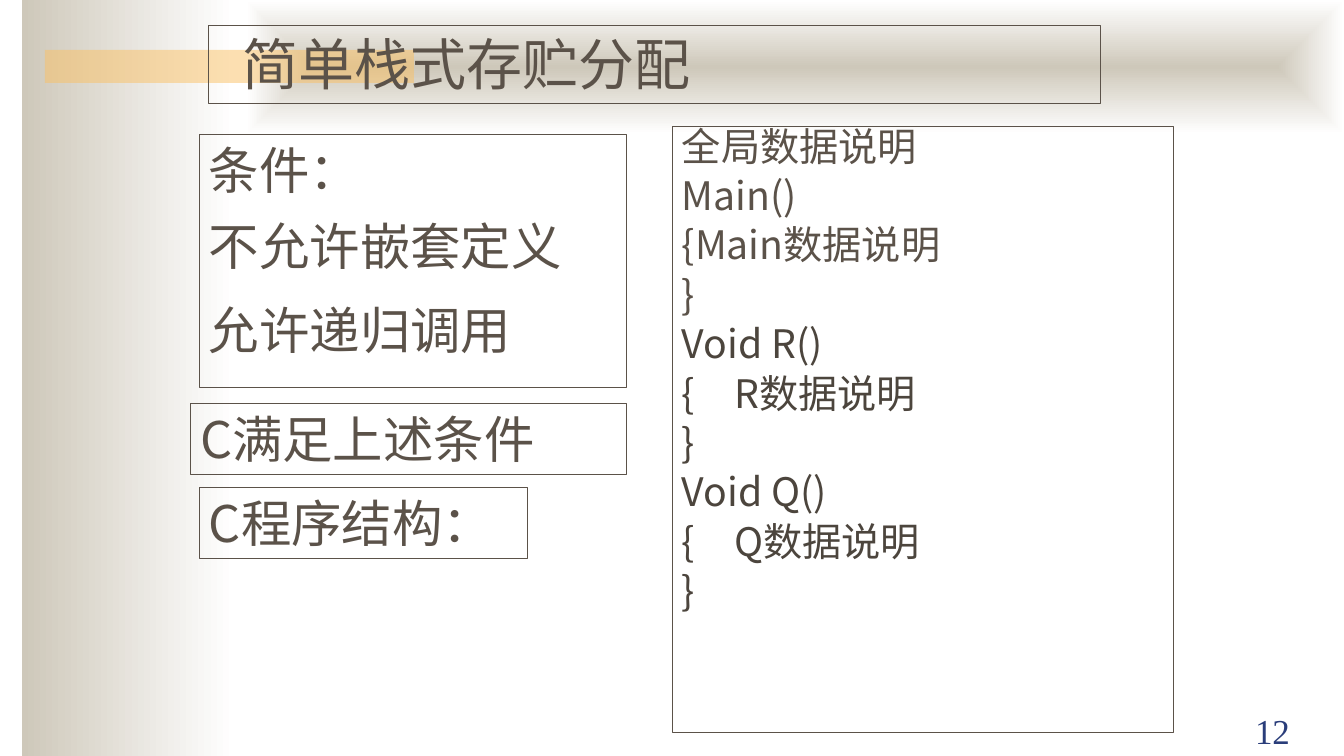
"""Builds the slide on simple stack storage allocation."""
from lxml.etree import SubElement
from pptx import Presentation
from pptx.dml.color import RGBColor
from pptx.enum.shapes import MSO_SHAPE
from pptx.enum.text import MSO_ANCHOR, MSO_AUTO_SIZE, PP_ALIGN
from pptx.oxml.ns import qn
from pptx.util import Pt

CJK, SERIF = "Noto Sans CJK JP", "Times New Roman"
BROWN, DARK, NAVY = "5B5249", "4C453D", "2A3D7A"
SAND, WHITE, GOLD = "CEC8BA", "FFFFFF", "FAC164"

HEADING = "简单栈式存贮分配"
HEADING_AREA = (208, 25, 892, 78)
SIDE_BAND = (22, 0, 213, 756)
TOP_BAND = (246, 0, 1098, 134)
GOLD_BAR = (45, 50, 369, 33)
FRAMED = [
    ("条件：", (199, 134, 427, 253)),
    ("C满足上述条件", (190, 403, 436, 71)),
    ("C程序结构：", (199, 487, 328, 71)),
]
CONDITIONS = [
    ("不允许嵌套定义", (199, 210, 427, 71)),
    ("允许递归调用", (199, 294, 427, 71)),
]
PROGRAM_AREA = (672, 126, 501, 606)
PROGRAM = [
    ("全局数据说明", BROWN),
    ("Main()", BROWN),
    ("{Main数据说明", BROWN),
    ("}", BROWN),
    ("Void R()", DARK),
    ("{　R数据说明", DARK),
    ("}", DARK),
    ("Void Q()", DARK),
    ("{　Q数据说明", DARK),
    ("}", DARK),
]
PAGE_NUMBER, PAGE_AREA = "12", (1210, 707, 134, 50)


def px(length):
    return round(length * 914400 / 100.8)


def color(value):
    return RGBColor.from_string(value)


def place(shape, area):
    shape.left, shape.top, shape.width, shape.height = map(px, area)


def rectangle(area):
    shape = slide.shapes.add_shape(MSO_SHAPE.RECTANGLE, *map(px, area))
    shape.shadow.inherit = False
    shape.line.fill.background()
    return shape


def outline(shape):
    shape.fill.background()
    shape.line.color.rgb = color(BROWN)
    shape.line.width = Pt(0.25)


def gradient_band(area):
    fill = rectangle(area).fill
    fill.gradient()
    fill.gradient_angle = 0
    for stop, shade in zip(fill.gradient_stops, (SAND, WHITE)):
        stop.color.rgb = color(shade)
    return fill


def write(shape, lines, size, face=CJK, align=PP_ALIGN.LEFT,
          anchor=MSO_ANCHOR.TOP, left=10, right=10, spacing=None, gap=0):
    frame = shape.text_frame
    frame.word_wrap = True
    frame.auto_size = MSO_AUTO_SIZE.NONE
    frame.vertical_anchor = anchor
    frame.margin_left, frame.margin_right = px(left), px(right)
    frame.margin_top = frame.margin_bottom = px(5)
    for index, (line, shade) in enumerate(lines):
        paragraph = frame.add_paragraph() if index else frame.paragraphs[0]
        paragraph.text = line
        paragraph.alignment = align
        paragraph.space_before = Pt(gap if index else 0)
        if spacing:
            paragraph.line_spacing = spacing
        font = paragraph.font
        font.size, font.name, font.bold = Pt(size), face, False
        font.color.rgb = color(shade)
        SubElement(font._element, qn("a:ea"), typeface=face)


presentation = Presentation()
presentation.slide_width, presentation.slide_height = px(1344), px(756)
slide = presentation.slides.add_slide(presentation.slide_layouts[5])

gradient_band(SIDE_BAND)
top_fill = gradient_band(TOP_BAND)._xPr.find(qn("a:gradFill"))
top_fill.remove(top_fill.find(qn("a:lin")))
center = SubElement(top_fill, qn("a:path"), path="shape")
SubElement(center, qn("a:fillToRect"), l="50000", t="50000", r="50000", b="50000")

gold_fill = rectangle(GOLD_BAR).fill
gold_fill.solid()
gold_fill.fore_color.rgb = color(GOLD)
gold_color = gold_fill._xPr.find(qn("a:solidFill"))[0]
SubElement(gold_color, qn("a:alpha"), val="50000")

page = slide.shapes.add_textbox(*map(px, PAGE_AREA))
write(page, [(PAGE_NUMBER, NAVY)], 25, SERIF, PP_ALIGN.RIGHT, MSO_ANCHOR.BOTTOM, right=54)

heading = slide.shapes.title
slide.shapes._spTree.append(heading._element)
place(heading, HEADING_AREA)
outline(heading)
write(heading, [(HEADING, BROWN)], 40, left=35)

for label, area in FRAMED:
    frame_box = rectangle(area)
    outline(frame_box)
    write(frame_box, [(label, BROWN)], 36)

program = rectangle(PROGRAM_AREA)
outline(program)
write(program, PROGRAM, 28, spacing=0.8, gap=8.4)

for condition, area in CONDITIONS:
    write(slide.shapes.add_textbox(*map(px, area)), [(condition, BROWN)], 36)

presentation.save("out.pptx")
